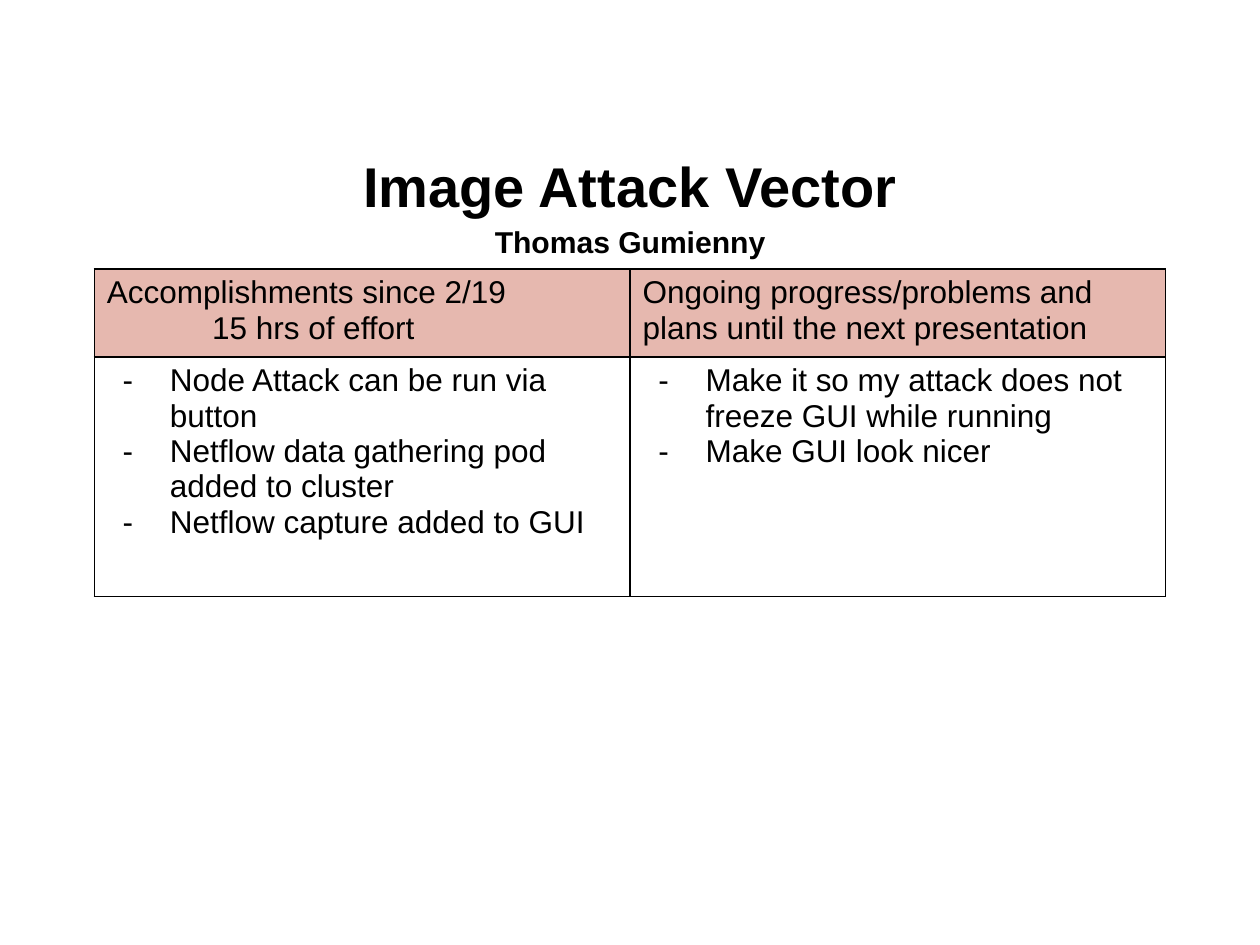
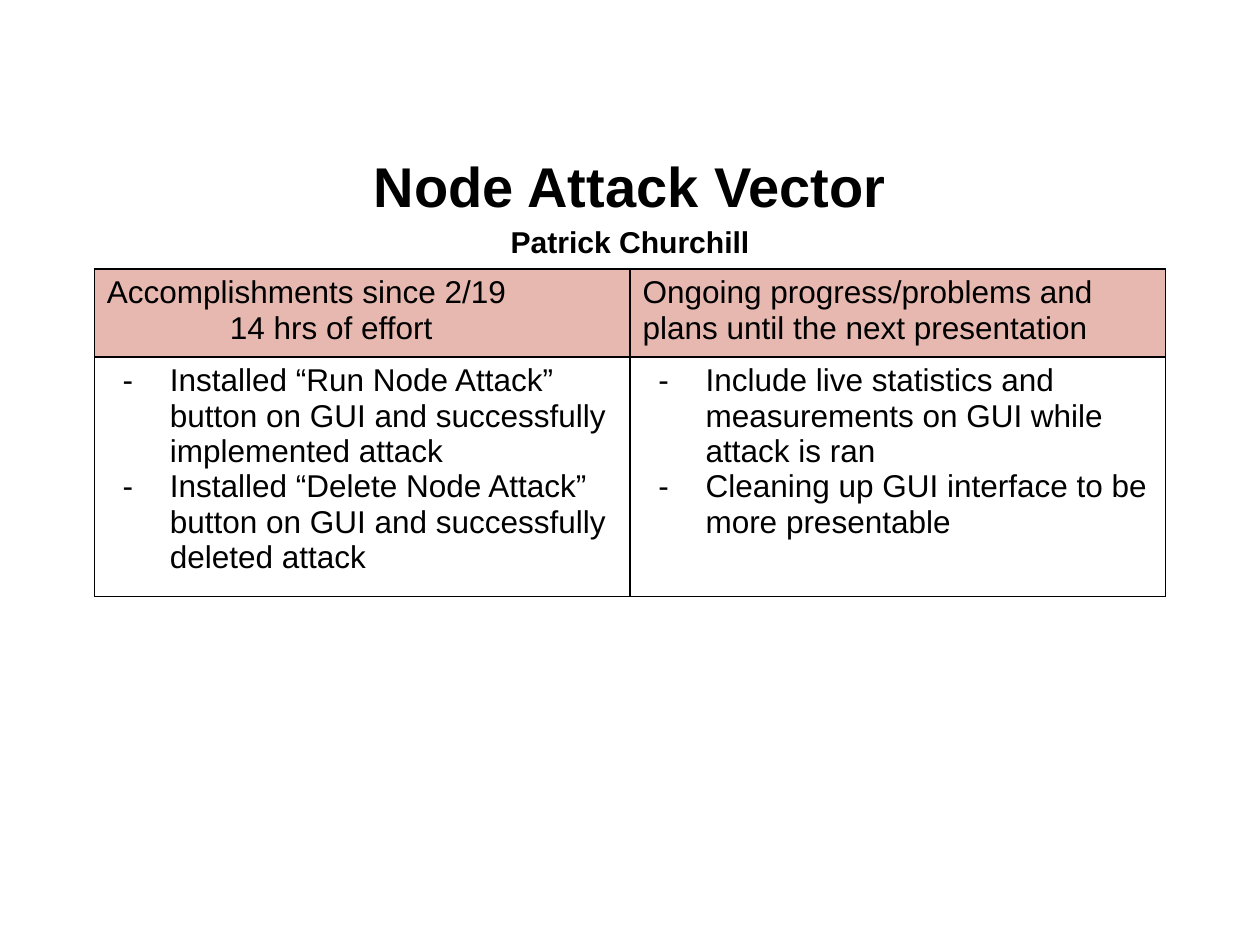
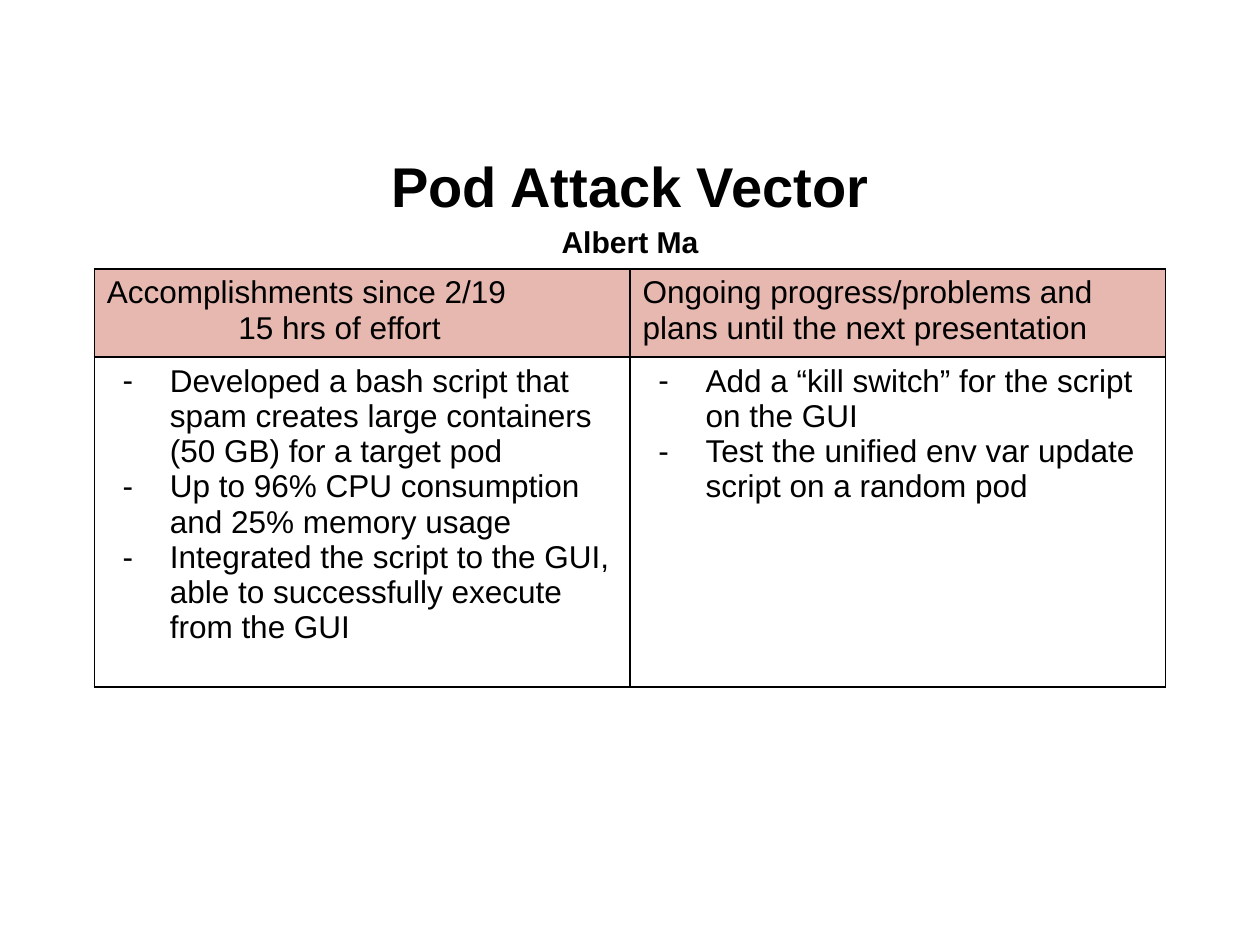
from dataclasses import dataclass

import pptx
import pptx.dml.color
import pptx.enum.text
import pptx.oxml
import pptx.oxml.ns
import pptx.util
from pptx.util import Cm, Pt


@dataclass(frozen=True)
class Theme:
    font: str = "Arial"
    ink: str = "000000"
    head: str = "E6B8AF"
    title: float = 32
    name: float = 17.2
    body: float = 18
    rule: float = 1


THEME = Theme()
ALIGN = pptx.enum.text.PP_ALIGN
LEFT = 1.9
COL = 10.8
SINCE = "Accomplishments since 2/19"
PLANS = "Ongoing progress/problems and plans until the next presentation"

SLIDES = [
    dict(
        title="Image Attack Vector",
        name="Thomas Gumienny",
        hours="15 hrs of effort",
        inset=2.12,
        rows=(1.68, 4.83),
        done=[
            "Node Attack can be run via button",
            "Netflow data gathering pod added to cluster",
            "Netflow capture added to GUI",
        ],
        next=[
            "Make it so my attack does not freeze GUI while running",
            "Make GUI look nicer",
        ],
    ),
    dict(
        title="Node Attack Vector",
        name="Patrick Churchill",
        hours="14 hrs of effort",
        inset=2.48,
        rows=(1.68, 4.83),
        done=[
            "Installed “Run Node Attack” button on GUI and successfully implemented attack",
            "Installed “Delete Node Attack” button on GUI and successfully deleted attack",
        ],
        next=[
            "Include live statistics and measurements on GUI while attack is ran",
            "Cleaning up GUI interface to be more presentable",
        ],
    ),
    dict(
        title="Pod Attack Vector",
        name="Albert Ma",
        hours="15 hrs of effort",
        inset=2.65,
        rows=(1.78, 6.65),
        done=[
            "Developed a bash script that spam creates large containers (50 GB) for a target pod",
            "Up to 96% CPU consumption and 25% memory usage",
            "Integrated the script to the GUI, able to successfully execute from the GUI",
        ],
        next=[
            "Add a “kill switch” for the script on the GUI",
            "Test the unified env var update script on a random pod",
        ],
    ),
]


def make(tag, **attrs):
    node = pptx.oxml.parse_xml(f"<a:{tag} {pptx.oxml.ns.nsdecls('a')}/>")
    for key, value in attrs.items():
        node.set(key, str(value))
    return node


def color(code):
    return pptx.dml.color.RGBColor.from_string(code)


def write(frame, text, size=THEME.body, bold=False, align=ALIGN.LEFT,
          space=None, inset=0, hang=0, mark=None):
    para = frame.paragraphs[0]
    if para.runs:
        para = frame.add_paragraph()
    para.alignment = align
    if space:
        para.line_spacing = space
    props = para._p.get_or_add_pPr()
    props.set("marL", str(Cm(inset)))
    props.set("indent", str(Cm(-hang)))
    if mark:
        tint = make("buClr")
        tint.append(make("srgbClr", val=THEME.ink))
        props.append(tint)
        props.append(make("buFont", typeface=THEME.font))
        props.append(make("buChar", char=mark))
    run = para.add_run()
    run.text = text
    run.font.name = THEME.font
    run.font.size = Pt(size)
    run.font.bold = bold
    run.font.color.rgb = color(THEME.ink)


def add_title(slide, title, name):
    box = slide.shapes.add_textbox(Cm(1.27), Cm(2.92), Cm(22.86), Cm(2.24))
    frame = box.text_frame
    frame.word_wrap = True
    frame.vertical_anchor = pptx.enum.text.MSO_ANCHOR.MIDDLE
    for text, size in ((title, THEME.title), (name, THEME.name)):
        write(frame, text, size=size, bold=True, align=ALIGN.CENTER, space=1.15)


def style(cell, fill=None):
    props = cell._tc.get_or_add_tcPr()
    for side in ("lnL", "lnR", "lnT", "lnB"):
        line = make(side, w=Pt(THEME.rule))
        paint = make("solidFill")
        paint.append(make("srgbClr", val=THEME.ink))
        line.append(paint)
        props.append(line)
    if fill:
        cell.fill.solid()
        cell.fill.fore_color.rgb = color(fill)
    else:
        cell.fill.background()


def add_grid(slide, data):
    rows = data["rows"]
    grid = slide.shapes.add_table(
        2, 2, Cm(LEFT), Cm(5.42), Cm(2 * COL), Cm(sum(rows))).table
    grid.first_row = False
    grid.horz_banding = False
    for row, height in zip(grid.rows, rows):
        row.height = Cm(height)
    for col, (head, points) in enumerate(((SINCE, data["done"]), (PLANS, data["next"]))):
        grid.columns[col].width = Cm(COL)
        top, base = grid.cell(0, col), grid.cell(1, col)
        style(top, THEME.head)
        style(base)
        write(top.text_frame, head)
        for point in points:
            write(base.text_frame, point, inset=1.27, hang=0.95, mark="-")
    write(grid.cell(0, 0).text_frame, data["hours"], inset=data["inset"])


def main():
    deck = pptx.Presentation()
    deck.slide_width = Cm(25.4)
    deck.slide_height = Cm(19.05)
    for data in SLIDES:
        slide = deck.slides.add_slide(deck.slide_layouts[6])
        add_title(slide, data["title"], data["name"])
        add_grid(slide, data)
    deck.save("out.pptx")


if __name__ == "__main__":
    main()
